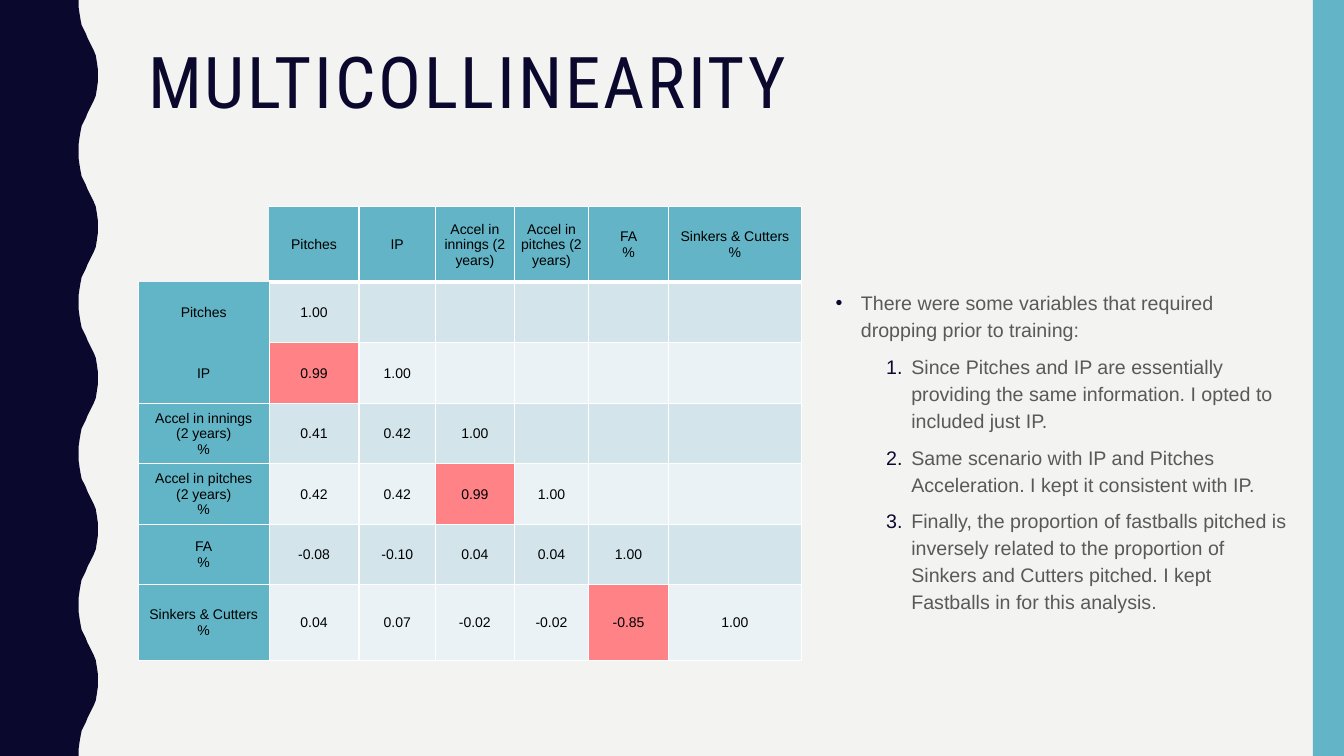
from dataclasses import dataclass

from lxml import etree
from pptx import Presentation
from pptx import util as u
from pptx.dml.color import RGBColor
from pptx.enum import shapes, text
from pptx.oxml.ns import qn

PX = 9144


@dataclass(frozen=True)
class Theme:
    paper: str = "F3F3F2"
    navy: str = "0B082E"
    teal: str = "62B4C6"
    side: str = "61B5C6"
    dark: str = "D3E5EA"
    light: str = "EAF2F5"
    alert: str = "FF8287"
    line: str = "FFFFFF"
    black: str = "000000"
    gray: str = "595959"
    head: str = "Roboto Condensed"
    body: str = "Arial"
    title: int = 51
    copy: int = 14
    cell: int = 10


def px(n):
    return u.Emu(n * PX)


def node(root, tag, **attrs):
    return etree.SubElement(root, qn(tag), attrs)


def tint(fill, color):
    fill.solid()
    fill.fore_color.rgb = RGBColor.from_string(color)


class Deck:
    def __init__(self, theme):
        self.theme = theme
        self.file = Presentation()
        self.file.slide_width, self.file.slide_height = px(1333), px(750)
        self.slide = self.file.slides.add_slide(self.file.slide_layouts[6])
        tint(self.slide.background.fill, theme.paper)

    def paint(self, shape, color):
        shape.shadow.inherit = False
        tint(shape.fill, color)
        shape.line.fill.background()

    def rect(self, x, y, w, h, color):
        kind = shapes.MSO_SHAPE.RECTANGLE
        self.paint(self.slide.shapes.add_shape(kind, px(x), px(y), px(w), px(h)), color)

    def outline(self, points, color):
        path = self.slide.shapes.build_freeform(*points[0], scale=PX)
        path.add_line_segments(points[1:], close=True)
        self.paint(path.convert_to_shape(), color)

    def font(self, para, face, size, color):
        for run in para.runs:
            run.font.name, run.font.size = face, u.Pt(size)
            run.font.color.rgb = RGBColor.from_string(color)

    def box(self, x, y, w, h, lines):
        frame = self.slide.shapes.add_textbox(px(x), px(y), px(w), px(h)).text_frame
        frame.word_wrap = True
        frame.text = "\n".join(lines)
        return frame.paragraphs

    def title(self, x, y, w, h, words):
        para = self.box(x, y, w, h, [words])[0]
        para.line_spacing = 0.9
        self.font(para, self.theme.head, self.theme.title, self.theme.navy)
        para.runs[0]._r.get_or_add_rPr().set("spc", "200")

    def notes(self, x, y, w, h, lead, steps):
        for i, para in enumerate(self.box(x, y, w, h, [lead, *steps])):
            para.line_spacing = 1.15
            para.space_before = u.Pt(7 if i else 0)
            para.level = 1 if i else 0
            props = para._p.get_or_add_pPr()
            props.set("marL", str(px(75 if i else 25)))
            props.set("indent", str(px(-25)))
            node(node(props, "a:buClr"), "a:srgbClr", val=self.theme.navy)
            node(props, "a:buFont", typeface=self.theme.body)
            if i:
                node(props, "a:buAutoNum", type="arabicPeriod")
            else:
                node(props, "a:buChar", char="•")
            self.font(para, self.theme.body, self.theme.copy, self.theme.gray)

    def edges(self, cell, sizes):
        props = cell._tc.get_or_add_tcPr()
        for side, size in zip("LRTB", sizes):
            line = node(props, f"a:ln{side}", w=str(u.Pt(size)))
            if size:
                node(node(line, "a:solidFill"), "a:srgbClr", val=self.theme.line)
            else:
                node(line, "a:noFill")

    def cell(self, cell, words, color, sizes):
        self.edges(cell, sizes)
        if color:
            tint(cell.fill, color)
        else:
            cell.fill.background()
        cell.margin_left = cell.margin_right = cell.margin_top = px(1)
        cell.margin_bottom = 0
        cell.vertical_anchor = text.MSO_ANCHOR.MIDDLE
        cell.text_frame.text = words
        for para in cell.text_frame.paragraphs:
            para.alignment = text.PP_ALIGN.CENTER
            self.font(para, self.theme.body, self.theme.cell, self.theme.black)

    def matrix(self, x, y, cols, rows, heads, sides, values, alerts):
        t = self.theme
        grid = self.slide.shapes.add_table(
            len(rows), len(cols), px(x), px(y), px(sum(cols)), px(sum(rows))).table
        grid.first_row = grid.horz_banding = False
        for col, w in zip(grid.columns, cols):
            col.width = px(w)
        for row, h in zip(grid.rows, rows):
            row.height = px(h)
        self.cell(grid.cell(0, 0), "", None, (0, 0, 0, 0))
        for c, words in enumerate(heads, 1):
            self.cell(grid.cell(0, c), words, t.teal, (c > 1, 1, 1, 3))
        for r, words in enumerate(sides, 1):
            self.cell(grid.cell(r, 0), words, t.side, (1, 1, r > 2, r > 1))
            band = t.dark if r % 2 else t.light
            nums = values[r - 1].split()
            for c in range(1, len(cols)):
                num = nums[c - 1] if c <= len(nums) else ""
                color = t.alert if (r, c) in alerts else band
                self.cell(grid.cell(r, c), num, color, (1, 1, 3 if r == 1 else 1, 1))


def wave():
    rise = [(78, 0), (78, 7), (79, 14), (80, 20), (81, 25), (83, 29), (85, 33),
            (87, 38), (89, 42), (91, 46), (93, 50), (95, 55), (96, 61), (97, 68)]
    turn = rise + [(97, 75)] + [(x, 150 - y) for x, y in rise[:0:-1]]
    curve = [(x, y + 150 * n) for n in range(5) for x, y in turn]
    return [(0, 0), *curve, (78, 750), (0, 750)]


def main():
    theme = Theme()
    deck = Deck(theme)
    deck.outline(wave(), theme.navy)
    deck.rect(1302, 0, 31, 750, theme.teal)
    deck.title(137, 42, 1112, 163, "MULTICOLLINEARITY")
    deck.matrix(
        137, 205,
        [130, 89, 76, 78, 74, 79, 132],
        [75, *[60] * 5, 75],
        ["Pitches", "IP", "Accel in innings (2 years)", "Accel in pitches (2 years)",
         "FA\n%", "Sinkers & Cutters\n%"],
        ["Pitches", "IP", "Accel in innings\n(2 years)\n%",
         "Accel in pitches\n(2 years)\n%", "FA\n%", "Sinkers & Cutters\n%"],
        ["1.00",
         "0.99 1.00",
         "0.41 0.42 1.00",
         "0.42 0.42 0.99 1.00",
         "-0.08 -0.10 0.04 0.04 1.00",
         "0.04 0.07 -0.02 -0.02 -0.85 1.00"],
        {(2, 1), (4, 3), (6, 5)})
    deck.notes(
        819, 280, 468, 328,
        "There were some variables that required dropping prior to training:",
        ["Since Pitches and IP are essentially providing the same information. "
         "I opted to included just IP.",
         "Same scenario with IP and Pitches Acceleration. I kept it consistent with IP.",
         "Finally, the proportion of fastballs pitched is inversely related to the "
         "proportion of Sinkers and Cutters pitched. I kept Fastballs in for this analysis."])
    deck.file.save("out.pptx")


if __name__ == "__main__":
    main()
